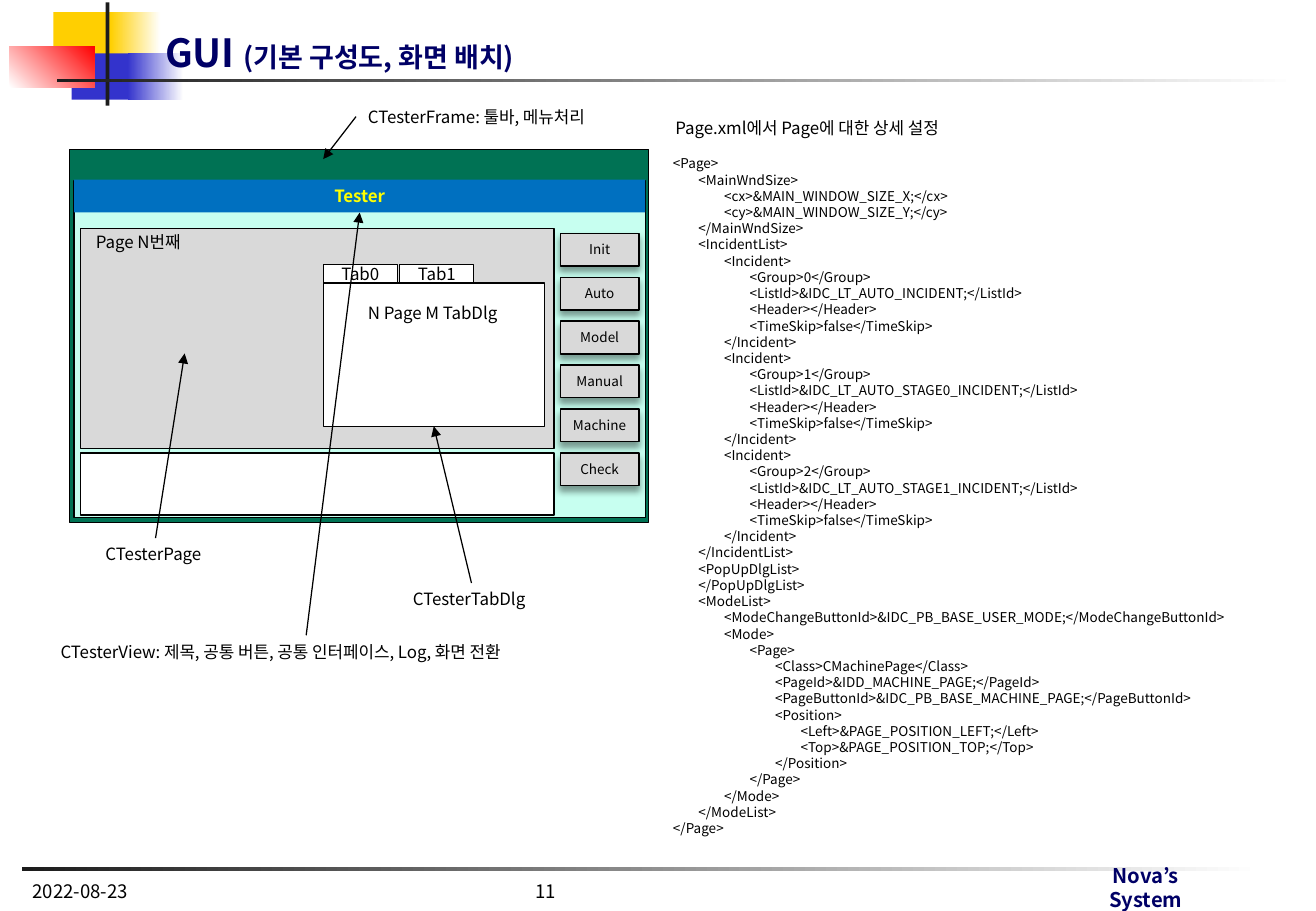
from lxml import etree
from pptx import Presentation
from pptx.dml.color import RGBColor
from pptx.enum.shapes import MSO_CONNECTOR, MSO_SHAPE
from pptx.enum.text import MSO_ANCHOR, PP_ALIGN
from pptx.oxml.ns import qn
from pptx.util import Inches, Pt

RECTANGLE = MSO_SHAPE.RECTANGLE
STRAIGHT = MSO_CONNECTOR.STRAIGHT
LEFT, CENTER = PP_ALIGN.LEFT, PP_ALIGN.CENTER
TOP, MIDDLE, BOTTOM = MSO_ANCHOR.TOP, MSO_ANCHOR.MIDDLE, MSO_ANCHOR.BOTTOM
FONT = "Noto Sans CJK KR"
BLACK, WHITE, NAVY, GRAY, CHARCOAL = "000000", "FFFFFF", "000066", "D9D9D9", "1C1C1C"
YELLOW, BLUE, RED = "FFCF01", "3333CC", "FF0000"
BUTTONS = ["Init", "Auto", "Model", "Manual", "Machine", "Check"]
TABS = ["Tab0", "Tab1"]
INDENT = 0.21


def incident(group, list_id):
    return [
        (2, "<Incident>"),
        (3, f"<Group>{group}</Group>"),
        (3, f"<ListId>&{list_id};</ListId>"),
        (3, "<Header></Header>"),
        (3, "<TimeSkip>false</TimeSkip>"),
        (2, "</Incident>"),
    ]


PAGE_XML = [
    (0, "<Page>"),
    (1, "<MainWndSize>"),
    (2, "<cx>&MAIN_WINDOW_SIZE_X;</cx>"),
    (2, "<cy>&MAIN_WINDOW_SIZE_Y;</cy>"),
    (1, "</MainWndSize>"),
    (1, "<IncidentList>"),
    *incident(0, "IDC_LT_AUTO_INCIDENT"),
    *incident(1, "IDC_LT_AUTO_STAGE0_INCIDENT"),
    *incident(2, "IDC_LT_AUTO_STAGE1_INCIDENT"),
    (1, "</IncidentList>"),
    (1, "<PopUpDlgList>"),
    (1, "</PopUpDlgList>"),
    (1, "<ModeList>"),
    (2, "<ModeChangeButtonId>&IDC_PB_BASE_USER_MODE;</ModeChangeButtonId>"),
    (2, "<Mode>"),
    (3, "<Page>"),
    (4, "<Class>CMachinePage</Class>"),
    (4, "<PageId>&IDD_MACHINE_PAGE;</PageId>"),
    (4, "<PageButtonId>&IDC_PB_BASE_MACHINE_PAGE;</PageButtonId>"),
    (4, "<Position>"),
    (5, "<Left>&PAGE_POSITION_LEFT;</Left>"),
    (5, "<Top>&PAGE_POSITION_TOP;</Top>"),
    (4, "</Position>"),
    (3, "</Page>"),
    (2, "</Mode>"),
    (1, "</ModeList>"),
    (0, "</Page>"),
]


def color(value):
    return RGBColor.from_string(value)


def place(box, left, top, width, height):
    return box[0] + left, box[1] + top, width, height


def style_para(para, size, ink=BLACK, bold=False, align=LEFT):
    para.alignment = align
    font = para.font
    font.name, font.size, font.bold = FONT, Pt(size), bold
    font.color.rgb = color(ink)
    for span in para.runs:
        span.font.name = FONT
        etree.SubElement(span.font._element, qn("a:ea"), typeface=FONT)


def add_rect(page, box, fill, end=None, angle=0, line=None):
    rect = page.shapes.add_shape(RECTANGLE, *map(Inches, box))
    rect.shadow.inherit = False
    if end:
        rect.fill.gradient()
        rect.fill.gradient_angle = angle
        for stop, value in zip(rect.fill.gradient_stops, (fill, end)):
            stop.color.rgb = color(value)
    else:
        rect.fill.solid()
        rect.fill.fore_color.rgb = color(fill)
    if line:
        rect.line.color.rgb = color(line)
        rect.line.width = Pt(0.75)
    else:
        rect.line.fill.background()
    return rect


def caption(rect, text, size, ink=BLACK, bold=False):
    frame = rect.text_frame
    frame.vertical_anchor = MIDDLE
    frame.margin_top = frame.margin_bottom = 0
    frame.text = text
    style_para(frame.paragraphs[0], size, ink, bold, CENTER)


def add_text(page, box, text, size, ink=BLACK, bold=False, align=LEFT, anchor=TOP):
    frame = page.shapes.add_textbox(*map(Inches, box)).text_frame
    frame.word_wrap = True
    frame.vertical_anchor = anchor
    frame.text = text
    style_para(frame.paragraphs[0], size, ink, bold, align)
    return frame


def add_button_shadow(button):
    effects = button._element.spPr.find(qn("a:effectLst"))
    shadow = etree.SubElement(effects, qn("a:outerShdw"), blurRad=str(Pt(4)),
                              dist=str(Pt(3)), dir="5400000", rotWithShape="0")
    tint = etree.SubElement(shadow, qn("a:srgbClr"), val=BLACK)
    etree.SubElement(tint, qn("a:alpha"), val="40000")


def add_arrow(page, start, end):
    arrow = page.shapes.add_connector(STRAIGHT, *map(Inches, (*start, *end)))
    arrow.line.color.rgb = color(BLACK)
    arrow.line.width = Pt(0.75)
    etree.SubElement(arrow.line._get_or_add_ln(), qn("a:tailEnd"), type="triangle")
    etree.SubElement(arrow._element.spPr, qn("a:effectLst"))


def draw_header(page, box):
    add_rect(page, place(box, 0.36, 0.08, 0.55, 0.38), YELLOW)
    add_rect(page, place(box, 0.83, 0.08, 0.41, 0.38), YELLOW, WHITE)
    add_rect(page, place(box, 0.51, 0.42, 0.52, 0.38), BLUE)
    add_rect(page, place(box, 0.97, 0.42, 0.46, 0.38), BLUE, WHITE)
    add_rect(page, place(box, 0, 0.36, 0.7, 0.34), WHITE, RED, 45)
    add_rect(page, place(box, 0.79, 0, 0.03, 0.85), CHARCOAL)
    add_rect(page, place(box, 0.39, 0.63, 10.2, 0.03), CHARCOAL, WHITE)
    title = add_text(page, place(box, 1.18, 0.18, 9.26, 0.47), "GUI ", 23, NAVY, True, anchor=BOTTOM)
    para = title.paragraphs[0]
    span = para.add_run()
    span.text = "(기본 구성도, 화면 배치)"
    style_para(para, 23, NAVY, True)
    span.font.size = Pt(16)


def draw_window(page, box):
    add_rect(page, place(box, 0, 0, 4.77, 3.07), "007254", line=BLACK)
    add_rect(page, place(box, 0.04, 0.26, 4.7, 2.77), "C7FFF0", line=BLACK)
    add_rect(page, place(box, 0.09, 0.65, 3.9, 1.81), GRAY, line=BLACK)
    add_rect(page, place(box, 2.09, 1.1, 1.82, 1.18), WHITE, line=BLACK)
    add_text(page, place(box, 0.12, 0.63, 1.5, 0.27), "Page N번째", 10)
    add_text(page, place(box, 2.36, 1.21, 1.6, 0.27), "N Page M TabDlg", 10)
    title_bar = add_rect(page, place(box, 0.04, 0.25, 4.7, 0.27), "0070C0")
    caption(title_bar, "Tester", 10, "FFFF00", True)
    for row, name in enumerate(BUTTONS):
        button = add_rect(page, place(box, 4.04, 0.69 + row * 0.362, 0.65, 0.27), GRAY, line=BLACK)
        add_button_shadow(button)
        caption(button, name, 8)
    add_rect(page, place(box, 0.09, 2.5, 3.9, 0.51), WHITE, line=BLACK)
    for column, name in enumerate(TABS):
        tab = add_rect(page, place(box, 2.09 + column * 0.63, 0.95, 0.61, 0.15), WHITE, line=BLACK)
        caption(tab, name, 10)


def draw_callouts(page, box):
    callouts = [
        ("CTesterFrame: 툴바, 메뉴처리", (2.53, 0), (2.53, 0.13), (2.26, 0.48)),
        ("CTesterPage", (0.37, 3.6), (0.88, 3.6), (1.12, 2.08)),
        ("CTesterTabDlg", (2.9, 3.97), (3.48, 3.97), (3.17, 2.68)),
        ("CTesterView: 제목, 공통 버튼, 공통 인터페이스, Log, 화면 전환",
         (0, 4.4), (2.12, 4.4), (2.56, 0.92)),
    ]
    for text, corner, start, end in callouts:
        add_text(page, place(box, *corner, 4.8 - corner[0], 0.27), text, 10)
        add_arrow(page, place(box, *start, 0, 0)[:2], place(box, *end, 0, 0)[:2])


def draw_page_xml(page, box):
    add_text(page, place(box, 0.02, 0, 3.5, 0.27), "Page.xml에서 Page에 대한 상세 설정", 10)
    lines = [text for depth, text in PAGE_XML]
    frame = add_text(page, place(box, 0, 0.31, 5.23, 5.89), "\n".join(lines), 8)
    for para, (depth, text) in zip(frame.paragraphs, PAGE_XML):
        style_para(para, 8)
        para.line_spacing = Pt(9.6)
        para._p.get_or_add_pPr().set("marL", str(Inches(depth * INDENT)))


def draw_footer(page, box):
    add_rect(page, place(box, 0.01, 0, 10.2, 0.03), CHARCOAL, WHITE)
    add_text(page, place(box, 0, 0.15, 2.26, 0.19), "2022-08-23", 11, anchor=BOTTOM)
    add_text(page, place(box, 4.14, 0.15, 2.26, 0.19), "11", 11, anchor=BOTTOM)
    owner = add_text(page, place(box, 8.66, -0.08, 1.2, 0.44), "Nova’s\vSystem", 12, NAVY, True, CENTER)
    owner.paragraphs[0].line_spacing = Pt(14.4)


deck = Presentation()
deck.slide_width, deck.slide_height = Inches(10.83), Inches(7.5)
page = deck.slides.add_slide(deck.slide_layouts[6])
draw_header(page, (0.08, 0.02))
draw_window(page, (0.57, 1.23))
draw_callouts(page, (0.4, 0.83))
draw_page_xml(page, (5.44, 0.92))
draw_footer(page, (0.17, 7.14))
deck.save("out.pptx")
